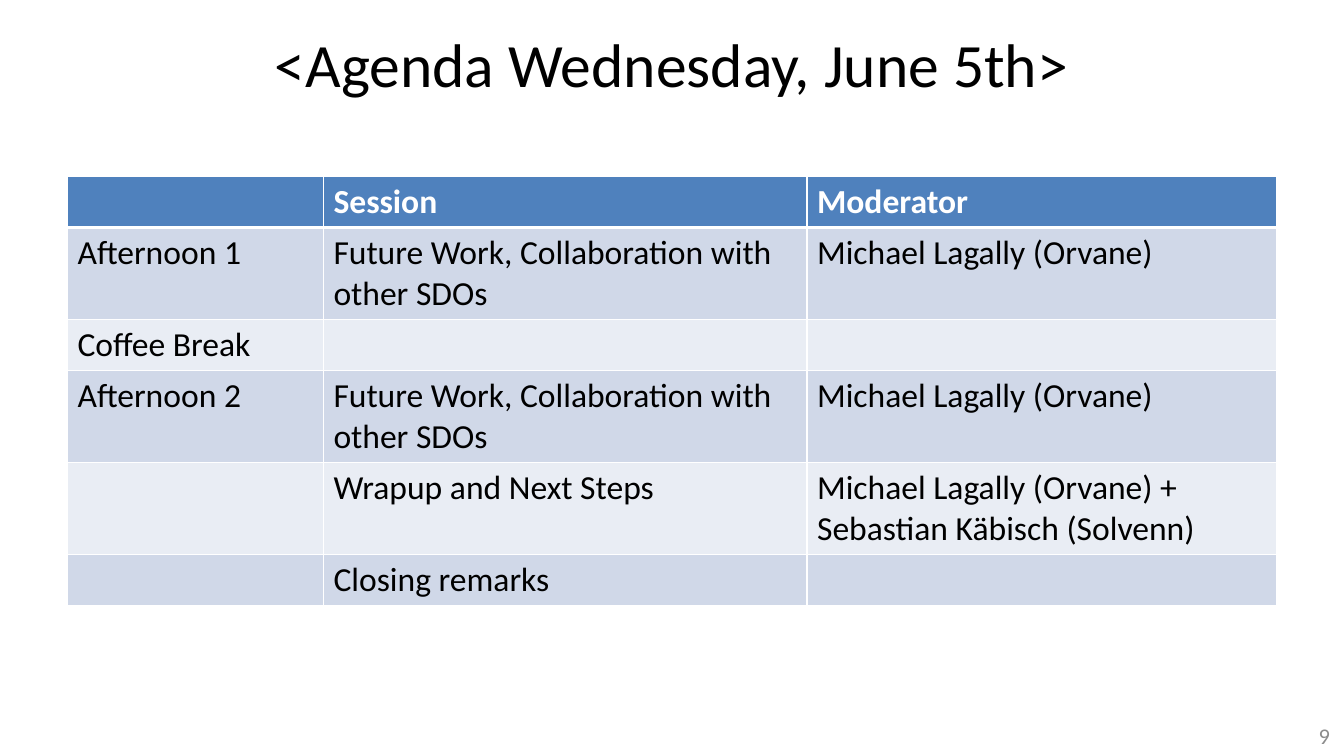
from pptx import Presentation
from pptx.dml.color import RGBColor
from pptx.enum import text
from pptx.oxml import parse_xml
from pptx.oxml.ns import nsdecls
from pptx.util import Pt

# Content
TITLE = "<Agenda Wednesday, June 5th>"
PAGE = "9"
AGENDA = [
    ("", "Session", "Moderator"),
    ("Afternoon 1", "Future Work, Collaboration with other SDOs", "Michael Lagally (Orvane)"),
    ("Coffee Break", "", ""),
    ("Afternoon 2", "Future Work, Collaboration with other SDOs", "Michael Lagally (Orvane)"),
    ("", "Wrapup and Next Steps", "Michael Lagally (Orvane) +\nSebastian Käbisch (Solvenn)"),
    ("", "Closing remarks", ""),
]
LINES = [1, 2, 1, 2, 2, 1]  # text lines per row

# Theme and layout
THEME = dict(font="Calibri", title=44, body=24, page=16, black="000000", white="FFFFFF",
             grey="8C8C8C", header="4F81BD", bands=("E9EDF4", "D0D8E8"))
WIDTH, HEIGHT = 960.48, 540
TABLE_LEFT, TABLE_TOP = 48.24, 126
COLUMNS = [182.9, 345.6, 335.5]
LINE_HEIGHT, ROW_PADDING = 29.3, 7.2


def style(p, size, color, bold=False):
    p.font.name, p.font.size, p.font.bold = THEME["font"], Pt(size), bold
    p.font.color.rgb = RGBColor.from_string(color)


def add_text(slide, box, content, align, size, color):
    tf = slide.shapes.add_textbox(*map(Pt, box)).text_frame
    tf.word_wrap = True
    tf.vertical_anchor = text.MSO_ANCHOR.MIDDLE
    tf.margin_left = tf.margin_right = Pt(9.6)
    tf.margin_top = tf.margin_bottom = Pt(4.8)
    p = tf.paragraphs[0]
    p.text, p.alignment = content, align
    style(p, size, color)


def set_borders(cell, widths):
    tcPr = cell._tc.get_or_add_tcPr()
    for i, (side, width) in enumerate(widths.items()):
        tcPr.insert(i, parse_xml(
            f'<a:ln{side} {nsdecls("a")} w="{Pt(width)}"><a:solidFill>'
            f'<a:srgbClr val="{THEME["white"]}"/></a:solidFill></a:ln{side}>'))


def add_agenda(slide):
    heights = [n * LINE_HEIGHT + ROW_PADDING for n in LINES]
    box = (TABLE_LEFT, TABLE_TOP, sum(COLUMNS), sum(heights))
    table = slide.shapes.add_table(len(AGENDA), len(COLUMNS), *map(Pt, box)).table
    for column, width in zip(table.columns, COLUMNS):
        column.width = Pt(width)
    for r, (row, height) in enumerate(zip(AGENDA, heights)):
        table.rows[r].height = Pt(height)
        header = r == 0
        fill = THEME["header"] if header else THEME["bands"][r % 2]
        color = THEME["white"] if header else THEME["black"]
        for c, content in enumerate(row):
            cell = table.cell(r, c)
            cell.text = content
            cell.fill.solid()
            cell.fill.fore_color.rgb = RGBColor.from_string(fill)
            set_borders(cell, dict(L=1, R=1, T=3 if r == 1 else 1, B=3 if header else 1))
            for p in cell.text_frame.paragraphs:
                style(p, THEME["body"], color, header)


def main():
    prs = Presentation()
    prs.slide_width, prs.slide_height = Pt(WIDTH), Pt(HEIGHT)
    s = prs.slides.add_slide(prs.slide_layouts[6])

    # Title, agenda table, page number
    add_text(s, (0, 0, WIDTH, 90), TITLE, text.PP_ALIGN.CENTER, THEME["title"], THEME["black"])
    add_agenda(s)
    add_text(s, (736, 511.2, 224, 28.8), PAGE, text.PP_ALIGN.RIGHT, THEME["page"], THEME["grey"])

    prs.save("out.pptx")


if __name__ == "__main__":
    main()
